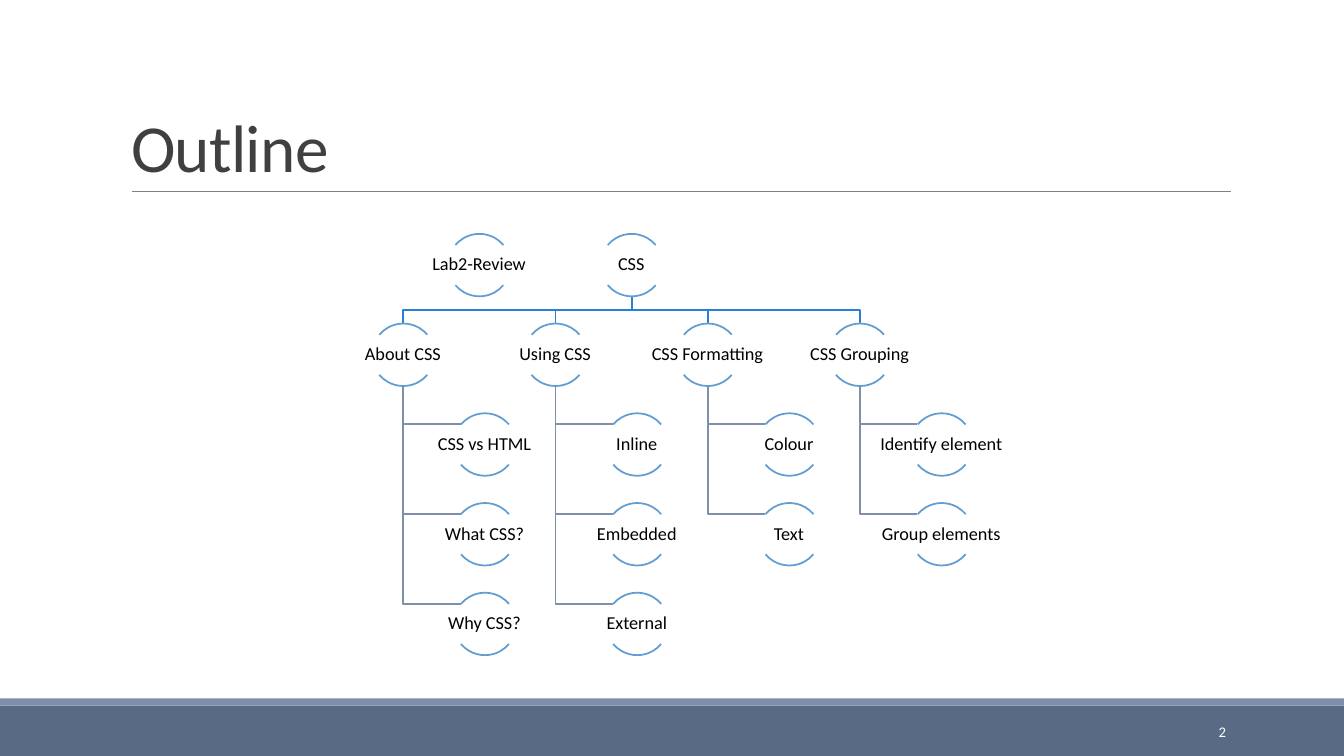
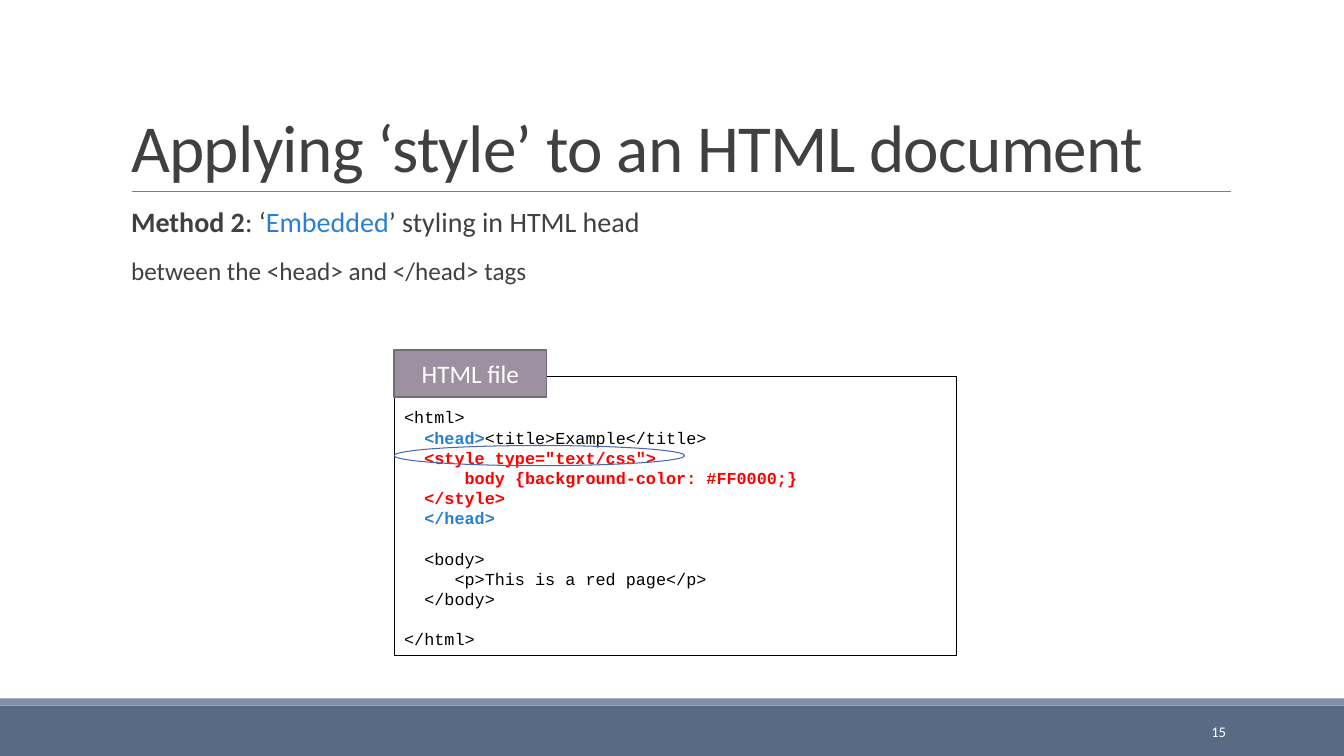
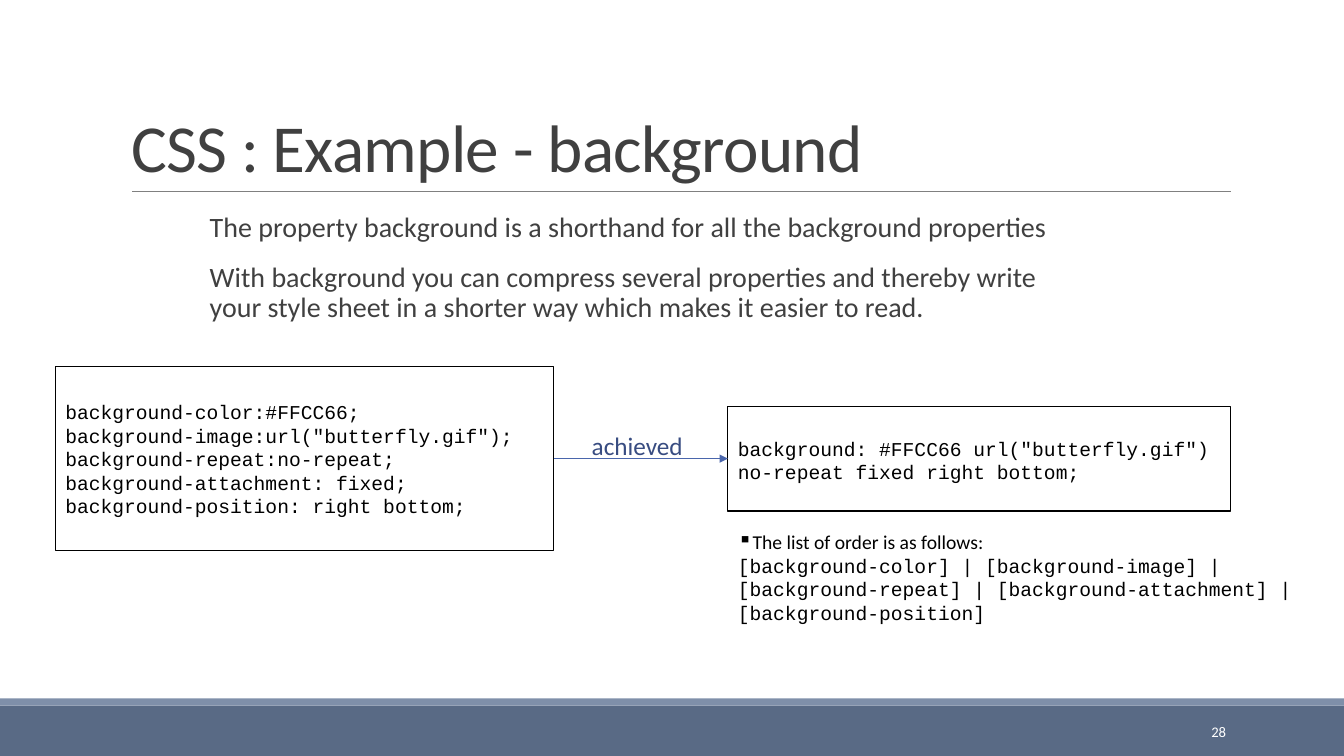
import pptx
import pptx.util
import pptx.dml.color
import pptx.enum.dml
import pptx.enum.shapes
import pptx.enum.text
import pptx.oxml.ns
import lxml.etree

Inches, Pt = pptx.util.Inches, pptx.util.Pt
MSO = pptx.enum.shapes.MSO_SHAPE
ALIGN = pptx.enum.text.PP_ALIGN
ANCHOR = pptx.enum.text.MSO_ANCHOR
qn = pptx.oxml.ns.qn

SANS, MONO = "Calibri", "Courier New"
BLACK, WHITE, RED = "000000", "FFFFFF", "FF0000"
TEXT, NAVY, STEEL, GREY = "404040", "596A85", "7F8FA9", "808080"
BLUE, ARC_BLUE, ACCENT, DEEP_BLUE = "297FD5", "629DD1", "4A66AC", "384C81"
MAUVE, DARK_MAUVE = "9D90A0", "746B76"
TITLE_ONLY, TITLE_AND_BODY = 5, 1


def rgb(hex_colour):
    return pptx.dml.color.RGBColor.from_string(hex_colour)


class Deck:
    """Holds the presentation, its style and the current slide."""

    def __init__(self):
        self.prs = pptx.Presentation()
        self.prs.slide_width, self.prs.slide_height = Inches(13.33), Inches(7.5)
        self.s = None

    def add_slide(self, title, number, layout=TITLE_ONLY):
        first = self.s is None
        self.s = self.prs.slides.add_slide(self.prs.slide_layouts[layout])
        if first:
            self.furnish_master()
        sp = self.s.shapes.title
        tf = self.frame(sp, (1.2, 0.31, 11, 1.59), anchor=ANCHOR.BOTTOM)
        p = self.para(tf, [title], 48, TEXT, spacing=0.85)
        for r in p.runs:
            r._r.get_or_add_rPr().set("spc", "-50")
        self.text((10.83, 7.06, 1.43, 0.4), [[str(number)]], 10.5, WHITE,
                  align=ALIGN.RIGHT, anchor=ANCHOR.MIDDLE)

    def furnish_master(self):
        """Draw the bands and the title rule, then hand them to the master."""
        parts = [self.shape(MSO.RECTANGLE, (0, 7, 13.33, 0.5), NAVY),
                 self.shape(MSO.RECTANGLE, (0, 6.93, 13.33, 0.07), STEEL),
                 self.line((1.31, 1.9), (12.21, 1.9), GREY, 0.5)]
        tree = self.prs.slide_master.shapes.element
        for i, sp in enumerate(parts):
            sp.element.xpath(".//p:cNvPr")[0].set("id", str(100 + i))
            tree.insert(2 + i, sp.element)

    # Text
    def frame(self, sp, box=None, inset=(0.1, 0.05, 0.1, 0.05), anchor=ANCHOR.TOP):
        if box:
            sp.left, sp.top, sp.width, sp.height = map(Inches, box)
        tf = sp.text_frame
        tf.word_wrap = True
        tf.auto_size = pptx.enum.text.MSO_AUTO_SIZE.NONE
        tf.vertical_anchor = anchor
        (tf.margin_left, tf.margin_top,
         tf.margin_right, tf.margin_bottom) = map(Inches, inset)
        return tf

    def para(self, tf, runs, size, colour, font=SANS, align=ALIGN.LEFT,
             spacing=None, before=0, after=0, indent=0, bullet=None):
        """Each run is a string or (string, colour, bold)."""
        p = tf.paragraphs[0] if not tf.paragraphs[0].runs else tf.add_paragraph()
        p.alignment, p.line_spacing = align, spacing
        p.space_before, p.space_after = Pt(before), Pt(after)
        pPr = p._p.get_or_add_pPr()
        pPr.set("marL", str(Inches(indent)))
        pPr.set("indent", "0")
        if bullet:
            lxml.etree.SubElement(pPr, qn("a:buChar")).set("char", bullet)
        else:
            lxml.etree.SubElement(pPr, qn("a:buNone"))
        for run in runs:
            text, run_colour, bold = (run, colour, False) if isinstance(run, str) else run
            r = p.add_run()
            r.text = text
            r.font.name, r.font.size, r.font.bold = font, Pt(size), bold
            r.font.color.rgb = rgb(run_colour)
        return p

    def text(self, box, paras, size, colour, anchor=ANCHOR.TOP,
             inset=(0.1, 0.05, 0.1, 0.05), **style):
        tf = self.frame(self.s.shapes.add_textbox(*map(Inches, box)),
                        inset=inset, anchor=anchor)
        for runs in paras:
            self.para(tf, runs, size, colour, **style)
        return tf

    def body(self, box, paras):
        """Each paragraph is (runs, size)."""
        tf = self.frame(self.s.placeholders[1], box, (0, 0.05, 0, 0.05))
        for runs, size in paras:
            self.para(tf, runs, size, TEXT, spacing=0.9, before=12, after=2, indent=0.1)

    def code(self, box, top, size, lines):
        """Each line is (runs, indent in characters, blank lines before)."""
        sp = self.shape(MSO.RECTANGLE, box, WHITE, BLACK, 0.75)
        tf = self.frame(sp, inset=(0.1, top, 0.1, 0.05))
        for runs, chars, gap in lines:
            self.para(tf, runs, size, BLACK, MONO, indent=chars * 0.6 * size / 72,
                      before=gap * 1.2 * size)
        return sp

    # Shapes and lines
    def paint(self, sp, fill=None, line=None, width=1.25):
        sp.shadow.inherit = False
        if fill:
            sp.fill.solid()
            sp.fill.fore_color.rgb = rgb(fill)
        else:
            sp.fill.background()
        if line:
            sp.line.color.rgb = rgb(line)
            sp.line.width = Pt(width)
        else:
            sp.line.fill.background()
        return sp

    def shape(self, kind, box, fill=None, line=None, width=1.25):
        sp = self.s.shapes.add_shape(kind, *map(Inches, box))
        return self.paint(sp, fill, line, width)

    def line(self, start, end, colour, width, arrow=False):
        c = self.s.shapes.add_connector(pptx.enum.shapes.MSO_CONNECTOR.STRAIGHT,
                                        *map(Inches, start + end))
        c.line.color.rgb = rgb(colour)
        c.line.width = Pt(width)
        spPr = c.element.spPr
        if arrow:
            lxml.etree.SubElement(spPr.find(qn("a:ln")), qn("a:tailEnd")).set("type", "triangle")
        lxml.etree.SubElement(spPr, qn("a:effectLst"))
        return c

    def polyline(self, points, colour):
        pts = [(Inches(x), Inches(y)) for x, y in points]
        fb = self.s.shapes.build_freeform(*pts[0])
        fb.add_line_segments(pts[1:], close=False)
        self.paint(fb.convert_to_shape(), line=colour)

    def node(self, x, y, label):
        """A label between two arcs of a circle; x is its centre, y its top."""
        for start, end in ((132, 192), (24, 84)):
            sp = self.shape(MSO.ARC, (x - 0.31, y, 0.62, 0.62), line=ARC_BLUE)
            sp.adjustments[0], sp.adjustments[1] = start, end
        self.text((x - 0.63, y + 0.11, 1.25, 0.4), [[label]], 13, BLACK,
                  anchor=ANCHOR.MIDDLE, inset=(0.01,) * 4, align=ALIGN.CENTER, spacing=0.9)


def outline_slide(d):
    d.add_slide("Outline", 2)
    branches = [("About CSS", ["CSS vs HTML", "What CSS?", "Why CSS?"]),
                ("Using CSS", ["Inline", "Embedded", "External"]),
                ("CSS Formatting", ["Colour", "Text"]),
                ("CSS Grouping", ["Identify element", "Group elements"])]
    left, col, top, row, size = 4, 1.51, 2.32, 0.89, 0.62
    root_x, branch_y = left + 1.5 * col, top + row
    nodes = [(root_x - col, top, "Lab2-Review"), (root_x, top, "CSS")]
    for i, (branch, leaves) in enumerate(branches):
        x, mid = left + i * col, (top + size + branch_y) / 2
        d.polyline([(root_x, top + size), (root_x, mid), (x, mid), (x, branch_y)], BLUE)
        nodes.append((x, branch_y, branch))
        for j, leaf in enumerate(leaves, 1):
            y = branch_y + j * row
            d.polyline([(x, branch_y + size), (x, y + 0.11), (x + 0.57, y + 0.11)], STEEL)
            nodes.append((x + 0.81, y, leaf))
    for node in nodes:
        d.node(*node)


def embedded_slide(d):
    d.add_slide("Applying ‘style’ to an HTML document", 15, TITLE_AND_BODY)
    d.body((1.2, 2.02, 11, 4.4), [
        ([("Method 2", TEXT, True), ": ‘", ("Embedded", BLUE, False),
          "’ styling in HTML head"], 20),
        (["between the <head> and </head> tags"], 18)])
    # Code listing with its tab and highlight
    d.code((3.91, 3.74, 5.58, 2.76), 0.3, 12, [
        (["<html>"], 0, 0),
        ([("<head>", BLUE, True), "<title>Example</title>"], 2, 0),
        ([('<style type="text/css">', RED, True)], 2, 0),
        ([("body {background-color: #FF0000;}", RED, True)], 6, 0),
        ([("</style>", RED, True)], 2, 0),
        ([("</head>", BLUE, True)], 2, 0),
        (["<body>"], 2, 1),
        (["<p>This is a red page</p>"], 5, 0),
        (["</body>"], 2, 0),
        (["</html>"], 0, 1)])
    tab = d.shape(MSO.RECTANGLE, (3.91, 3.47, 1.51, 0.47), MAUVE, DARK_MAUVE)
    d.para(d.frame(tab, anchor=ANCHOR.MIDDLE), ["HTML file"], 18, WHITE, align=ALIGN.CENTER)
    d.shape(MSO.OVAL, (3.91, 4.42, 2.88, 0.2), line=ACCENT, width=0.75)


def background_slide(d):
    d.add_slide("CSS : Example - background", 28, TITLE_AND_BODY)
    d.body((1.98, 2.07, 8.79, 4.44), [
        (["The property background is a shorthand for all the background properties"], 20),
        (["With background you can compress several properties and thereby write "
          "your style sheet in a shorter way which makes it easier to read."], 20)])
    # Long form, short form and the arrow between them
    long_form = d.code((0.55, 3.64, 4.94, 1.82), 0.33, 14, [([line], 0, 0) for line in (
        "background-color:#FFCC66;",
        'background-image:url("butterfly.gif");',
        "background-repeat:no-repeat;",
        "background-attachment: fixed;",
        "background-position: right bottom;")])
    short_form = d.code((7.22, 4.03, 4.98, 1.04), 0.3, 14, [
        (['background: #FFCC66 url("butterfly.gif") no-repeat fixed right bottom;'], 0, 0)])
    arrow = d.line((5.49, 4.55), (7.22, 4.55), ACCENT, 1, arrow=True)
    arrow.begin_connect(long_form, 3)
    arrow.end_connect(short_form, 1)
    # Order of the values
    tf = d.text((7.22, 5.21, 5.71, 1.04), [["The list of order is as follows:"]],
                14, BLACK, bullet="▪")
    d.para(tf, ["[background-color] | [background-image] | [background-repeat] | "
                "[background-attachment] | [background-position]"], 14, BLACK, MONO)
    d.text((5.77, 4.22, 1.15, 0.4), [["achieved"]], 18, DEEP_BLUE)


def main():
    d = Deck()
    outline_slide(d)
    embedded_slide(d)
    background_slide(d)
    d.prs.save("out.pptx")


if __name__ == "__main__":
    main()
